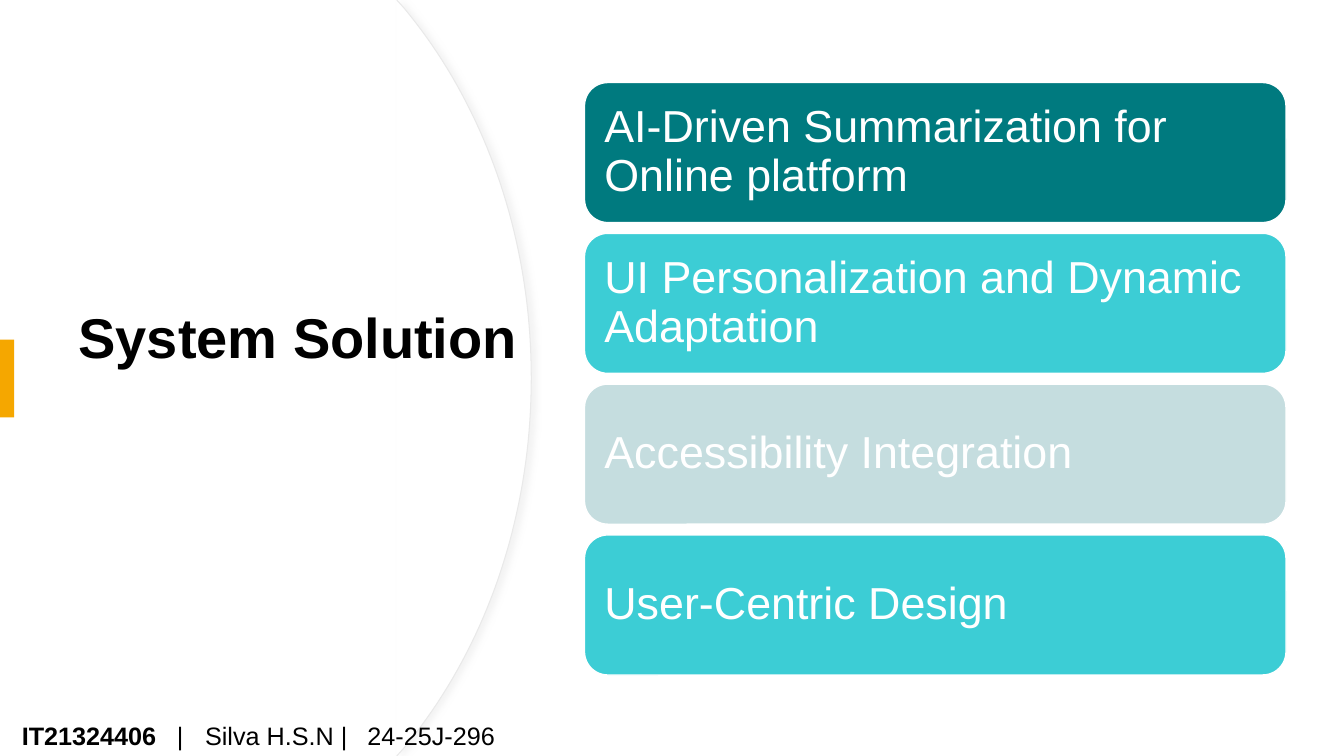
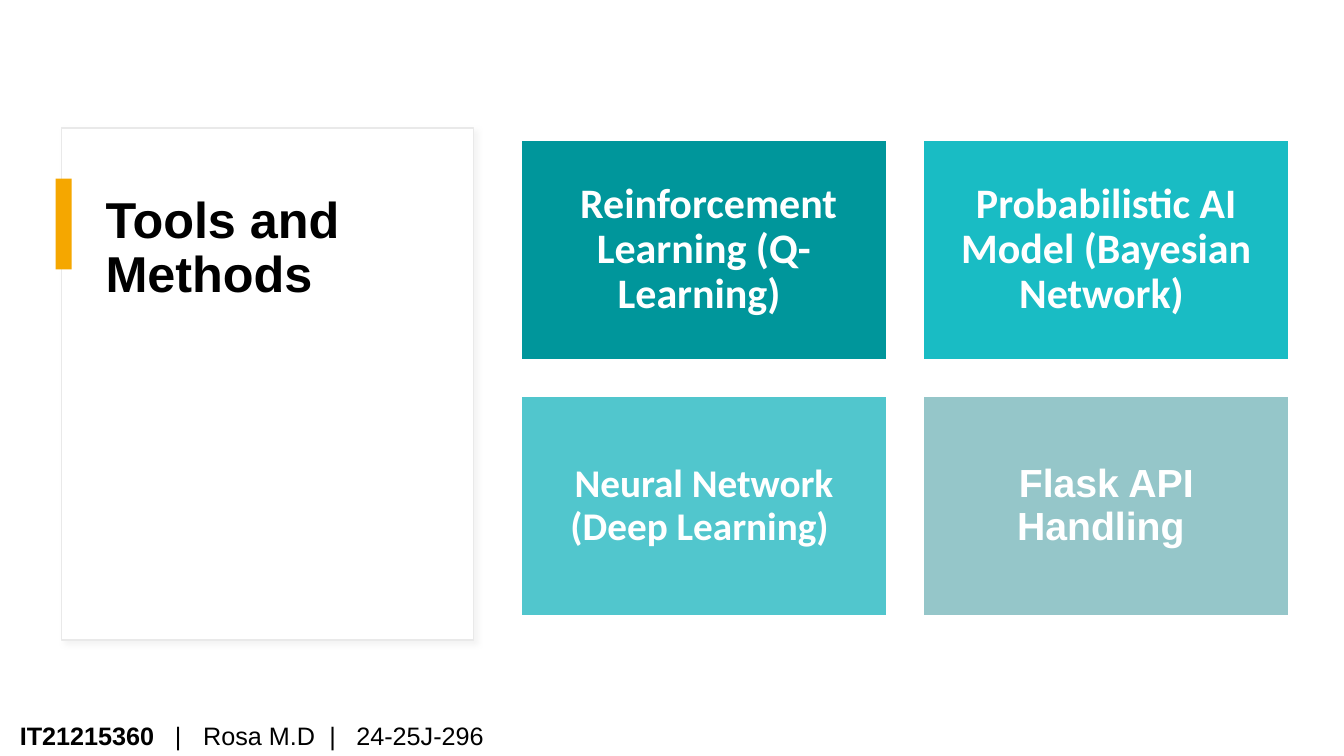
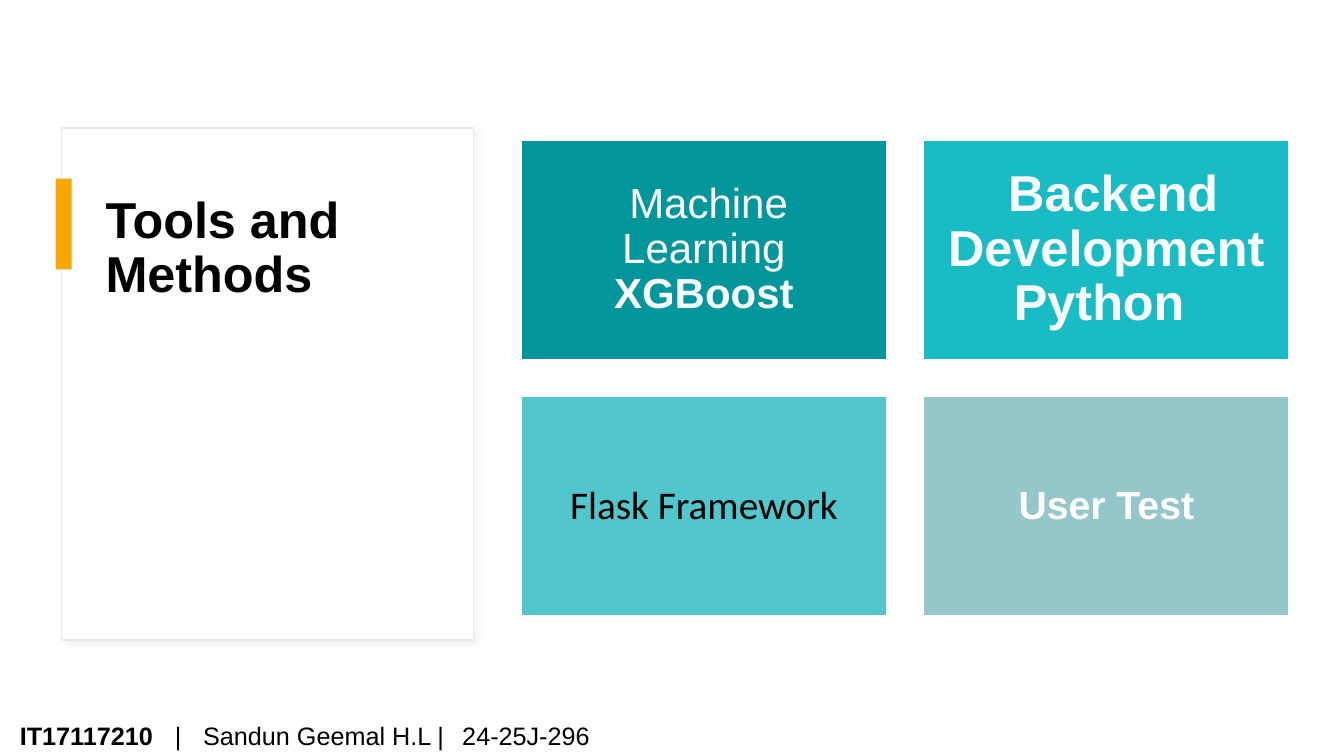
"""Build three project slides: a solution list and two tool grids."""
from dataclasses import dataclass

from lxml import etree
from pptx import Presentation
from pptx.dml.color import RGBColor
from pptx.enum import shapes, text
from pptx.oxml import ns
from pptx.util import Cm, Pt


@dataclass(frozen=True)
class Theme:
    white: str = "FFFFFF"
    pale: str = "F8FAFF"
    black: str = "000000"
    edge: str = "E9E9E9"
    shade: str = "D9D9D9"
    accent: str = "F5A700"
    cards: tuple = ("007A7F", "3CCDD5", "C5DDDF", "3CCDD5")
    tiles: tuple = ("00969B", "19BCC4", "51C6CD", "95C6C9")
    heading: int = 40
    title: int = 36
    card: int = 32
    large: int = 30
    medium: int = 28
    footer: int = 18
    sans: str = "Arial"
    humanist: str = "Calibri"


THEME = Theme()


def add_span(para, words, size=THEME.medium, face=THEME.sans, ink=THEME.white, bold=False):
    span = para.add_run()
    span.text = words
    span.font.size = Pt(size)
    span.font.name = face
    span.font.bold = bold
    span.font.color.rgb = RGBColor.from_string(ink)


class Builder:
    def __init__(self):
        self.deck = Presentation()
        self.deck.slide_width, self.deck.slide_height = Cm(33.87), Cm(19.05)
        self.page = None

    def new_page(self):
        self.page = self.deck.slides.add_slide(self.deck.slide_layouts[6])

    def paint(self, shape, fill, line=None, weight=1, shadow_angle=None):
        shape.shadow.inherit = False
        shape.fill.solid()
        shape.fill.fore_color.rgb = RGBColor.from_string(fill)
        if line:
            shape.line.color.rgb = RGBColor.from_string(line)
            shape.line.width = Pt(weight)
        else:
            shape.line.fill.background()
        if shadow_angle is not None:
            effects = shape._element.spPr.find(ns.qn("a:effectLst"))
            shadow = etree.SubElement(effects, ns.qn("a:outerShdw"), blurRad=str(Pt(4)),
                                      dist=str(Pt(3)), dir=str(shadow_angle * 60000))
            colour = etree.SubElement(shadow, ns.qn("a:srgbClr"), val=THEME.shade)
            etree.SubElement(colour, ns.qn("a:alpha"), val="30000")

    def block(self, place, fill, rounded=False, **look):
        kinds = shapes.MSO_SHAPE
        kind = kinds.ROUNDED_RECTANGLE if rounded else kinds.RECTANGLE
        shape = self.page.shapes.add_shape(kind, *map(Cm, place))
        self.paint(shape, fill, **look)
        return shape

    def set_text(self, box, spans, align=text.PP_ALIGN.LEFT, anchor=text.MSO_ANCHOR.MIDDLE,
                 spacing=0.9, inset=None):
        frame = box.text_frame
        frame.word_wrap = True
        frame.vertical_anchor = anchor
        if inset is not None:
            frame.margin_left = frame.margin_right = Cm(inset)
            frame.margin_top = frame.margin_bottom = Cm(inset)
        para = frame.paragraphs[0]
        para.alignment = align
        para.line_spacing = spacing
        for words, look in spans:
            add_span(para, words, **look)
        return para

    def title(self, words, place, size, anchor):
        box = self.page.shapes.add_textbox(*map(Cm, place))
        self.set_text(box, [(words, dict(size=size, ink=THEME.black, bold=True))], anchor=anchor)

    def footer(self, student, rest, stops, left=0.25):
        box = self.page.shapes.add_textbox(Cm(left), Cm(18.03), Cm(18.92), Cm(1.02))
        look = dict(size=THEME.footer, ink=THEME.black)
        para = self.set_text(box, [(student, dict(look, bold=True)), ("\t|\t" + rest, look)],
                             spacing=1.0)
        tabs = etree.SubElement(para._p.get_or_add_pPr(), ns.qn("a:tabLst"))
        for stop in (3.91, 4.62, *stops):
            etree.SubElement(tabs, ns.qn("a:tab"), pos=str(Cm(stop)), algn="l")

    def arc_panel(self):
        curve = ((10.18, 0.2), (12.17, 2.59), (13.39, 5.89), (13.39, 9.52))
        steps = 40
        upper = [(10.0, 0.0)]
        for step in range(steps + 1):
            t = step / steps
            weights = ((1 - t) ** 3, 3 * t * (1 - t) ** 2, 3 * t * t * (1 - t), t ** 3)
            upper.append(tuple(sum(w * point[axis] for w, point in zip(weights, curve))
                               for axis in (0, 1)))
        lower = [(x, 19.05 - y) for x, y in reversed(upper)]
        points = [(Cm(x), Cm(y)) for x, y in upper + lower]
        outline = self.page.shapes.build_freeform(*points[0])
        outline.add_line_segments(points[1:], close=False)
        self.paint(outline.convert_to_shape(), THEME.white, line=THEME.edge,
                   weight=0.75, shadow_angle=0)

    def cards(self, labels):
        height, gap = 3.53, 0.27
        for row, (label, fill) in enumerate(zip(labels, THEME.cards)):
            place = (14.73, 2.08 + row * (height + gap), 17.68, height)
            card = self.block(place, fill, rounded=True, line=THEME.white)
            self.set_text(card, [(label, dict(size=THEME.card))], inset=0.33)

    def tiles(self, labels):
        width, height, gap = 9.22, 5.54, 0.92
        for index, (spans, fill) in enumerate(zip(labels, THEME.tiles)):
            row, column = divmod(index, 2)
            place = (13.13 + column * (width + gap), 3.53 + row * (height + gap), width, height)
            tile = self.block(place, fill, line=THEME.white, weight=1.5)
            self.set_text(tile, spans, align=text.PP_ALIGN.CENTER, inset=0.3)

    def solution_page(self, title, labels):
        self.new_page()
        self.arc_panel()
        self.title(title, (1.73, 3.23, 12.17, 10.69), THEME.heading, text.MSO_ANCHOR.MIDDLE)
        self.block((0, 8.56, 0.36, 1.96), THEME.accent)
        self.cards(labels)

    def tools_page(self, title, labels):
        self.new_page()
        self.block((1.55, 3.23, 10.39, 12.9), THEME.white, line=THEME.edge, shadow_angle=45)
        self.title(title, (2.41, 4.78, 8.61, 9.78), THEME.title, text.MSO_ANCHOR.TOP)
        self.block((1.4, 4.5, 0.41, 2.29), THEME.accent)
        self.tiles(labels)


def main():
    builder = Builder()
    builder.solution_page("System Solution", [
        "AI-Driven Summarization for Online platform",
        "UI Personalization and Dynamic Adaptation",
        "Accessibility Integration",
        "User-Centric Design",
    ])
    builder.footer("IT21324406", "Silva H.S.N |\t24-25J-296", [8.71], left=0.3)

    strong = dict(bold=True)
    large = dict(size=THEME.large, face=THEME.humanist, bold=True)
    builder.tools_page("Tools and Methods", [
        [(" Reinforcement Learning (Q-Learning) ", large)],
        [("Probabilistic AI Model (Bayesian Network) ", large)],
        [("Neural Network (Deep Learning) ", dict(face=THEME.humanist, bold=True))],
        [("Flask API Handling ", strong)],
    ])
    builder.footer("IT21215360", "Rosa M.D\t|\t24-25J-296", [7.8, 8.48])

    builder.tools_page("Tools and Methods", [
        [(" ", large), ("Machine Learning ", dict(size=THEME.large)),
         ("XGBoost", dict(size=THEME.large, ink=THEME.pale, bold=True))],
        [(" Backend Development Python ", dict(size=THEME.title, ink=THEME.pale, bold=True))],
        [("Flask Framework", dict(face=THEME.humanist, ink=THEME.black))],
        [("User Test", strong)],
    ])
    builder.footer("IT17117210", "Sandun Geemal H.L |\t24-25J-296", [11.15])
    builder.deck.save("out.pptx")


if __name__ == "__main__":
    main()
